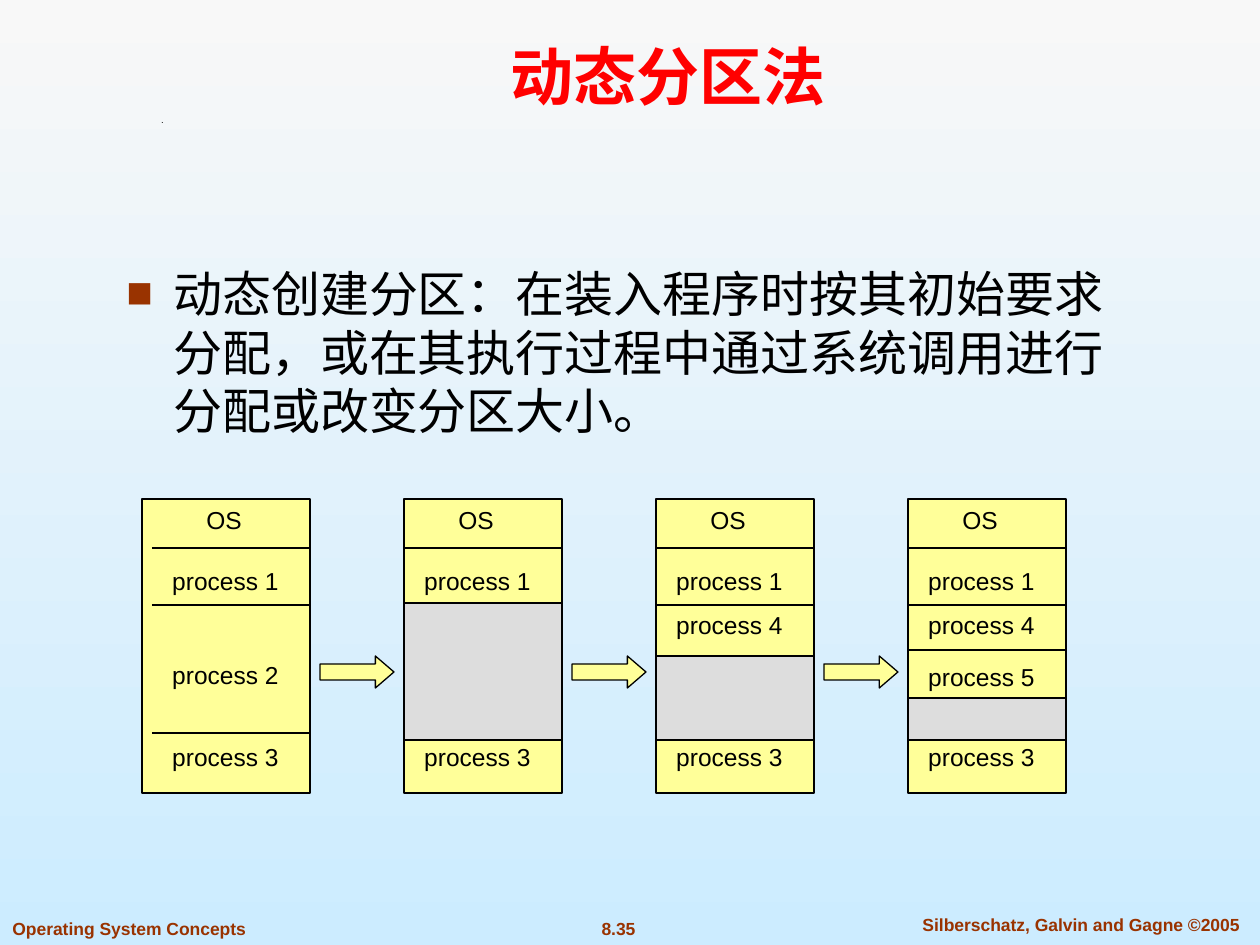
"""Slide on dynamic partitioning: four memory states joined by arrows."""
from lxml.etree import SubElement
from pptx import Presentation
from pptx.dml.color import RGBColor
from pptx.enum.shapes import MSO_CONNECTOR, MSO_SHAPE
from pptx.enum.text import MSO_ANCHOR, PP_ALIGN
from pptx.oxml.ns import qn
from pptx.util import Pt

PX = 914400 // 126
COLORS = {"top": "F8F8F8", "bottom": "CCECFF", "title": "FF0000", "brown": "993300",
          "black": "000000", "used": "FFFF99", "free": "DDDDDD"}
RGB = {name: RGBColor.from_string(value) for name, value in COLORS.items()}

prs = Presentation()
prs.slide_width, prs.slide_height = 1260 * PX, 945 * PX
s = prs.slides.add_slide(prs.slide_layouts[6])
fill = s.background.fill
fill.gradient()
fill.gradient_angle = 270
for stop, name in zip(fill.gradient_stops, ("top", "bottom")):
    stop.color.rgb = RGB[name]


def add_text(text, x, y, w, h, size, color="black", bold=False,
             align=PP_ALIGN.CENTER, anchor=MSO_ANCHOR.MIDDLE):
    tf = s.shapes.add_textbox(x * PX, y * PX, w * PX, h * PX).text_frame
    tf.word_wrap = True
    tf.vertical_anchor = anchor
    p = tf.paragraphs[0]
    p.alignment = align
    r = p.add_run()
    r.text = text
    r.font.name, r.font.size, r.font.bold = "Arial", Pt(size), bold
    r.font.color.rgb = RGB[color]
    return p


def add_block(kind, x, y, w, h, color):
    sp = s.shapes.add_shape(kind, x * PX, y * PX, w * PX, h * PX)
    sp.shadow.inherit = False
    sp.fill.solid()
    sp.fill.fore_color.rgb = RGB[color]
    sp.line.color.rgb = RGB["black"]
    sp.line.width = Pt(0.74)
    return sp


footers = [("8.35", 557, 912, 123, PP_ALIGN.CENTER),
           ("Silberschatz, Galvin and Gagne ©2005", 894, 908, 374, PP_ALIGN.CENTER),
           ("Operating System Concepts", 0, 912, 280, PP_ALIGN.LEFT)]
for text, x, y, w, align in footers:
    add_text(text, x, y, w, 33, 10, "brown", True, align, MSO_ANCHOR.TOP)

builder = s.shapes.build_freeform(162, 123, scale=PX)
builder.add_line_segments([(162, 122), (163, 123)])
speck = builder.convert_to_shape()
speck.shadow.inherit = False
speck.fill.solid()
speck.fill.fore_color.rgb = RGB["black"]
speck.line.fill.background()

add_text("动态分区法", 133, 29, 1071, 90, 36, "title", True, anchor=MSO_ANCHOR.BOTTOM)
p = add_text("动态创建分区：在装入程序时按其初始要求分配，或在其执行过程中通过系统调用进行分配或改变分区大小。",
             113, 257, 1013, 536, 28, align=PP_ALIGN.LEFT, anchor=MSO_ANCHOR.TOP)
pPr = p._p.get_or_add_pPr()
pPr.set("marL", str(48 * PX))
pPr.set("indent", str(-47 * PX))
SubElement(SubElement(pPr, qn("a:buClr")), qn("a:srgbClr"), val=COLORS["brown"])
SubElement(pPr, qn("a:buSzPct"), val="90000")
SubElement(pPr, qn("a:buFont"), typeface="Arial")
SubElement(pPr, qn("a:buChar"), char="■")

LEFT, STEP, WIDTH = 152, 252, 158
states = [
    (10, None, [], [("process 2", 653)]),
    (0, (603, 137), [], []),
    (0, (656, 84), [], [("process 4", 603)]),
    (0, (698, 42), [650], [("process 4", 603), ("process 5", 655)]),
]
for i, (extra, hole, dividers, processes) in enumerate(states):
    x = LEFT + i * STEP
    add_block(MSO_SHAPE.RECTANGLE, x - extra, 499, WIDTH + extra, 294, "used")
    for y in [548, 605, 733] + dividers:
        line = s.shapes.add_connector(MSO_CONNECTOR.STRAIGHT, x * PX, y * PX,
                                      (x + WIDTH) * PX, y * PX)
        line.line.color.rgb = RGB["black"]
        line.line.width = Pt(0.74)
        SubElement(line._element.spPr, qn("a:effectLst"))
    if hole:
        add_block(MSO_SHAPE.RECTANGLE, x, hole[0], WIDTH, hole[1], "free")
    add_text("OS", x + 32, 498, 80, 43, 14)
    for text, y in [("process 1", 559)] + processes + [("process 3", 735)]:
        add_text(text, x, y, 147, 43, 14)
    if i < len(states) - 1:
        arrow = add_block(MSO_SHAPE.RIGHT_ARROW, x + 168, 656, 74, 32, "used")
        arrow.adjustments[1] = 0.58

prs.save("out.pptx")
